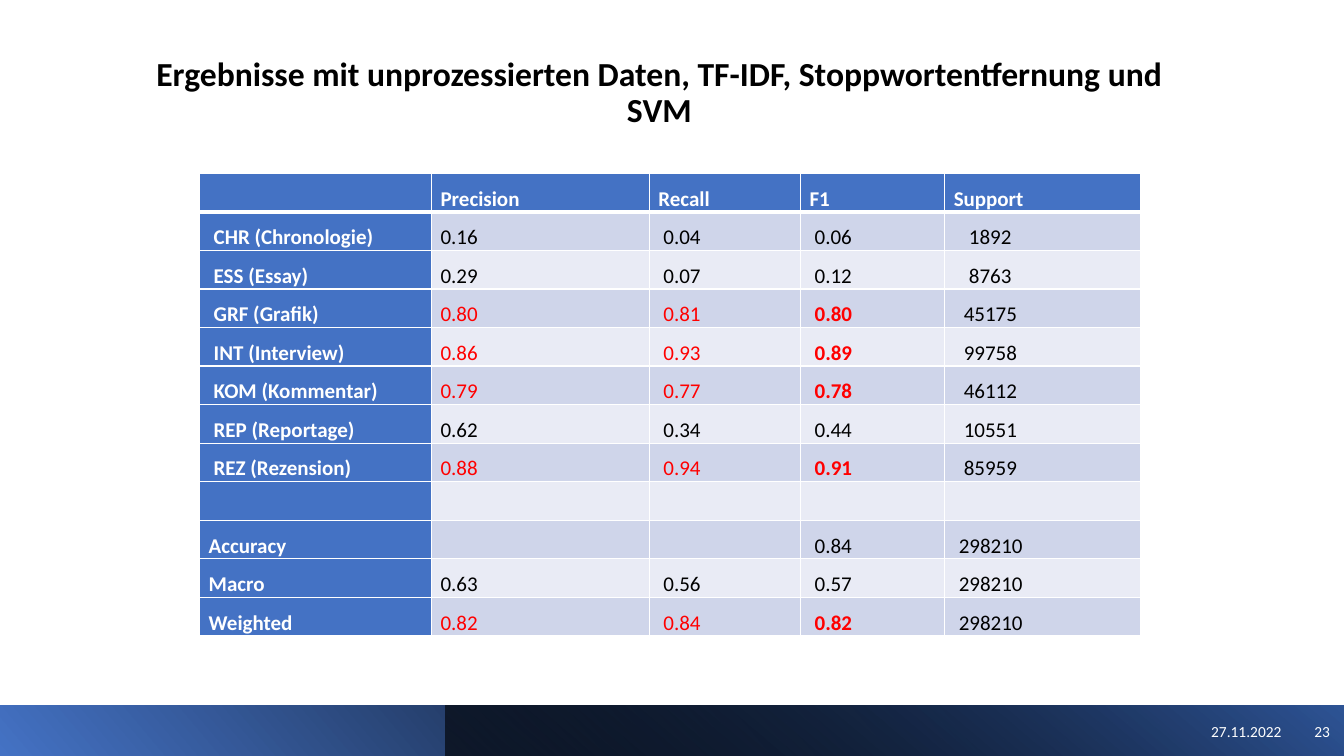
from lxml.etree import SubElement
from pptx import Presentation
from pptx.dml.color import RGBColor
from pptx.enum.shapes import MSO_SHAPE
from pptx.enum.text import MSO_ANCHOR, PP_ALIGN
from pptx.oxml.ns import qn
from pptx.util import Inches, Pt

WHITE = RGBColor(0xFF, 0xFF, 0xFF)
BLACK = RGBColor(0x00, 0x00, 0x00)
RED = RGBColor(0xFF, 0x00, 0x00)
BLUE = RGBColor(0x44, 0x72, 0xC4)
DARK_BLUE = RGBColor(0x2F, 0x55, 0x97)
BAND_DARK = RGBColor(0xCF, 0xD5, 0xEA)
BAND_LIGHT = RGBColor(0xE9, 0xEB, 0xF5)

TITLE = "Ergebnisse mit unprozessierten Daten, TF-IDF, Stoppwortentfernung und SVM"
HEADER = ["", "Precision", "Recall", "F1", "Support"]
GENRES = [
    ["CHR (Chronologie)", "0.16", "0.04", "0.06", "1892"],
    ["ESS (Essay)", "0.29", "0.07", "0.12", "8763"],
    ["GRF (Grafik)", "0.80", "0.81", "0.80", "45175"],
    ["INT (Interview)", "0.86", "0.93", "0.89", "99758"],
    ["KOM (Kommentar)", "0.79", "0.77", "0.78", "46112"],
    ["REP (Reportage)", "0.62", "0.34", "0.44", "10551"],
    ["REZ (Rezension)", "0.88", "0.94", "0.91", "85959"],
]
TOTALS = [
    ["Accuracy", "", "", "0.84", "298210"],
    ["Macro", "0.63", "0.56", "0.57", "298210"],
    ["Weighted", "0.82", "0.84", "0.82", "298210"],
]
RESULTS = [HEADER, *GENRES, [""] * 5, *TOTALS]
GENRE_NAMES = [genre[0] for genre in GENRES]
STRONG_ROWS = ["GRF (Grafik)", "INT (Interview)", "KOM (Kommentar)", "REZ (Rezension)", "Weighted"]
COLUMN_WIDTHS = [2.3, 2.16, 1.5, 1.43, 1.94]
F1_COLUMN, SUPPORT_COLUMN = 3, 4
MARGIN, INDENT = 0.09, 0.05


class SlideBuilder:
    font_name = "Calibri"

    def __init__(self, slide):
        self.slide = slide

    def add_run(self, paragraph, text, size, color, bold=False):
        run = paragraph.add_run()
        run.text = text
        run.font.name = self.font_name
        run.font.size = Pt(size)
        run.font.bold = bold
        run.font.color.rgb = color

    def add_text(self, box, text, size, color, align, anchor, bold=False, line_spacing=1.0):
        shape = self.slide.shapes.add_textbox(*map(Inches, box))
        frame = shape.text_frame
        frame.word_wrap = True
        frame.vertical_anchor = anchor
        paragraph = frame.paragraphs[0]
        paragraph.alignment = align
        paragraph.line_spacing = line_spacing
        self.add_run(paragraph, text, size, color, bold)

    def add_gradient_bar(self, box, stops, angle, start_alpha=100):
        shape = self.slide.shapes.add_shape(MSO_SHAPE.RECTANGLE, *map(Inches, box))
        shape.shadow.inherit = False
        shape.line.fill.background()
        shape.fill.gradient()
        shape.fill.gradient_angle = angle
        for stop, (position, color) in zip(shape.fill.gradient_stops, stops):
            stop.position = position
            stop.color.rgb = color
        if start_alpha < 100:
            start_color = next(shape.element.iter(qn("a:srgbClr")))
            SubElement(start_color, qn("a:alpha"), val=str(start_alpha * 1000))

    def add_borders(self, cell, bottom_width):
        properties = cell._tc.get_or_add_tcPr()
        widths = {"a:lnL": 1, "a:lnR": 1, "a:lnT": 1, "a:lnB": bottom_width}
        for index, (side, width) in enumerate(widths.items()):
            line = properties.makeelement(qn(side), {"w": str(Pt(width))})
            fill = SubElement(line, qn("a:solidFill"))
            SubElement(fill, qn("a:srgbClr"), val=str(WHITE))
            properties.insert(index, line)

    def fill_cell(self, cell, text, fill, color, bold, left_margin, bottom_width):
        cell.fill.solid()
        cell.fill.fore_color.rgb = fill
        cell.margin_left = Inches(left_margin)
        cell.margin_right = Inches(MARGIN)
        cell.margin_top = cell.margin_bottom = 0
        paragraph = cell.text_frame.paragraphs[0]
        if text:
            paragraph.line_spacing = 1.5
            self.add_run(paragraph, text, 15, color, bold)
        else:
            paragraph.font.size = Pt(15)
        self.add_borders(cell, bottom_width)

    def add_results_table(self, box):
        frame = self.slide.shapes.add_table(len(RESULTS), len(HEADER), *map(Inches, box))
        table = frame.table
        table.first_col = True
        for column, width in zip(table.columns, COLUMN_WIDTHS):
            column.width = Inches(width)
        for row, values in enumerate(RESULTS):
            strong = values[0] in STRONG_ROWS
            for column, text in enumerate(values):
                heading = row == 0 or column == 0
                if heading:
                    fill, color, bold = BLUE, WHITE, True
                else:
                    fill = BAND_DARK if row % 2 else BAND_LIGHT
                    color = RED if strong and column != SUPPORT_COLUMN else BLACK
                    bold = strong and column == F1_COLUMN
                indents = 0
                if text in GENRE_NAMES or (not heading and column > 1):
                    indents = 1
                if not heading and column == SUPPORT_COLUMN:
                    indents += len("298210") - len(text)
                self.fill_cell(
                    table.cell(row, column), text, fill, color, bold,
                    MARGIN + indents * INDENT if text else MARGIN, 1 if row else 3,
                )


def main():
    presentation = Presentation()
    presentation.slide_width = Inches(13.33)
    presentation.slide_height = Inches(7.5)
    builder = SlideBuilder(presentation.slides.add_slide(presentation.slide_layouts[6]))
    builder.add_text((1.24, 0.55, 10.6, 0.79), TITLE, 24, BLACK, PP_ALIGN.CENTER,
                     MSO_ANCHOR.BOTTOM, bold=True, line_spacing=0.9)
    builder.add_gradient_bar((0, 7, 13.33, 0.5), [(0, BLUE), (0.78, BLACK)], 40)
    builder.add_gradient_bar((4.42, 7, 8.91, 0.5), [(0, BLACK), (1, DARK_BLUE)], 50, start_alpha=63)
    for text, left, width in [("27.11.2022", 9.81, 3), ("23", 12.8, 0.49)]:
        builder.add_text((left, 7.06, width, 0.4), text, 11, WHITE, PP_ALIGN.RIGHT, MSO_ANCHOR.MIDDLE)
    builder.add_results_table((1.98, 1.72, 9.33, 4.59))
    presentation.save("out.pptx")


if __name__ == "__main__":
    main()
